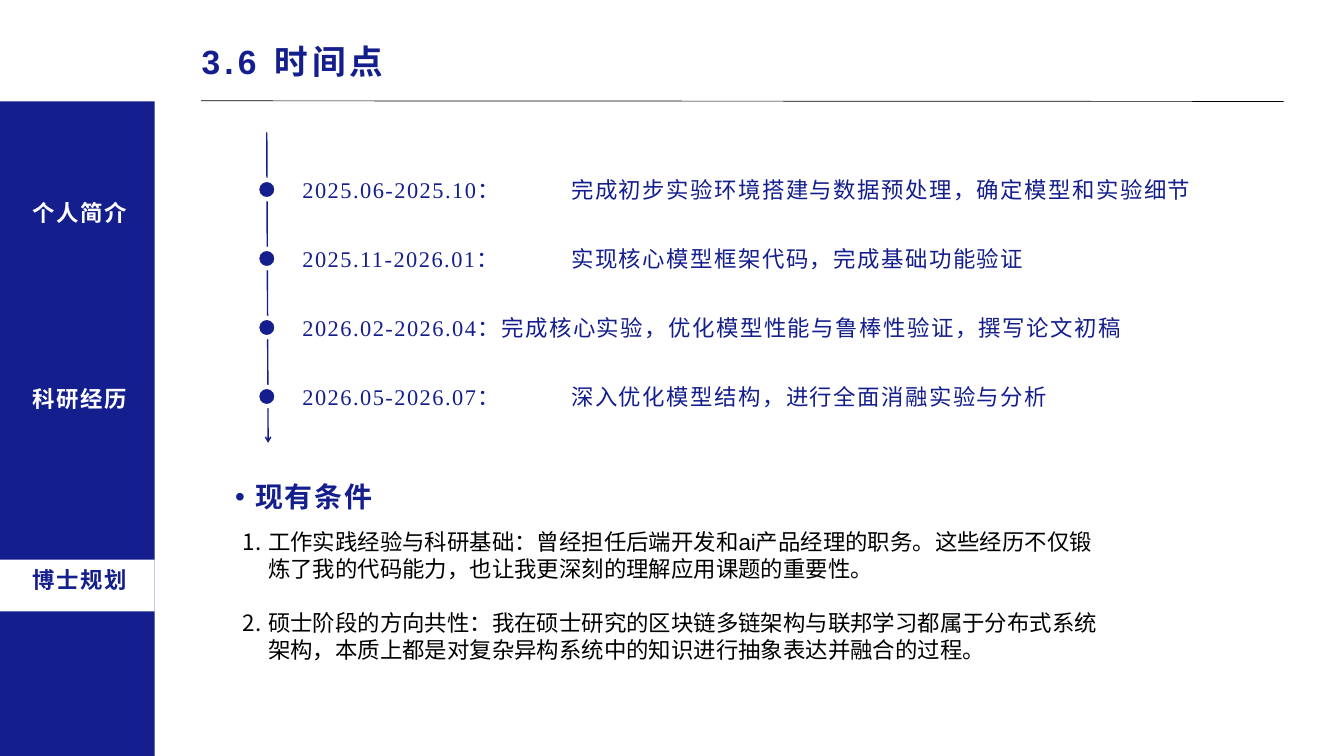
from pptx import Presentation
from pptx.dml.color import RGBColor
from pptx.enum.shapes import MSO_CONNECTOR as Connector, MSO_SHAPE as Shape
from pptx.enum.text import MSO_ANCHOR as Anchor, MSO_AUTO_SIZE as AutoSize, PP_ALIGN as Align
from pptx.oxml.ns import qn
from pptx.util import Inches, Pt
from lxml.etree import SubElement

COLORS = {"navy": "141E8C", "white": "FFFFFF", "black": "000000"}

# Content
TITLE = "3.6 时间点"
MILESTONES = [
    "2025.06-2025.10：\t完成初步实验环境搭建与数据预处理，确定模型和实验细节",
    "2025.11-2026.01：\t实现核心模型框架代码，完成基础功能验证",
    "2026.02-2026.04：完成核心实验，优化模型性能与鲁棒性验证，撰写论文初稿",
    "2026.05-2026.07：\t深入优化模型结构，进行全面消融实验与分析",
]
CONDITIONS_HEADING = "现有条件"
CONDITIONS = [
    "工作实践经验与科研基础：曾经担任后端开发和ai产品经理的职务。这些经历不仅锻炼了我的代码能力，也让我更深刻的理解应用课题的重要性。",
    "硕士阶段的方向共性：我在硕士研究的区块链多链架构与联邦学习都属于分布式系统架构，本质上都是对复杂异构系统中的知识进行抽象表达并融合的过程。",
]
SECTIONS = [  # label, top, colour
    ("个人简介", 2.93, "white"),
    ("科研经历", 5.69, "white"),
    ("博士规划", 8.38, "navy"),
]

# Layout in inches
SIDEBAR_W, SIDEBAR_TOP = 2.3, 1.51
DOT, AXIS_X, FIRST_Y, LAST_Y = 0.29, 3.97, 2.82, 5.9


def rgb(name):
    return RGBColor.from_string(COLORS[name])


def box(*inches):
    return [Inches(value) for value in inches]


def place(holder, *inches):
    holder.left, holder.top, holder.width, holder.height = box(*inches)
    holder.text_frame.auto_size = AutoSize.NONE
    holder.text_frame.vertical_anchor = Anchor.TOP
    return holder.text_frame


def no_insets(frame):
    frame.word_wrap = True
    frame.margin_left = frame.margin_right = frame.margin_top = frame.margin_bottom = 0
    return frame


def text_box(slide, *inches):
    return no_insets(slide.shapes.add_textbox(*box(*inches)).text_frame)


def write(para, text, size, color, font="Arial", bold=False, spacing=0, line=None, align=Align.LEFT):
    para.alignment = align
    para.space_before = Pt(0)
    if line:
        para.line_spacing = Pt(line)
    run = para.add_run()
    run.text = text
    run.font.size, run.font.name, run.font.bold = Pt(size), font, bold
    run.font.color.rgb = rgb(color)
    if spacing:
        run.font._element.set("spc", str(round(spacing * 100)))


def add_bullet(para, margin, hanging, tag, **attributes):
    props = para._p.get_or_add_pPr()
    props.set("marL", str(Inches(margin)))
    props.set("indent", str(-Inches(hanging)))
    SubElement(props, qn("a:buFont"), typeface="Arial")
    SubElement(props, qn(tag), **attributes)


def add_line(slide, start, end, color, width, arrow=False):
    line = slide.shapes.add_connector(Connector.STRAIGHT, *box(*start, *end))
    line.line.color.rgb, line.line.width = rgb(color), Pt(width)
    if arrow:
        SubElement(line.line._get_or_add_ln(), qn("a:tailEnd"), type="arrow")
    SubElement(line._element.spPr, qn("a:effectLst"))


def add_block(slide, kind, inches, fill, outline=None, width=0):
    block = slide.shapes.add_shape(kind, *box(*inches))
    block.shadow.inherit = False
    block.fill.solid()
    block.fill.fore_color.rgb = rgb(fill)
    if outline:
        block.line.color.rgb, block.line.width = rgb(outline), Pt(width)
    else:
        block.line.fill.background()


def add_header(slide):
    frame = no_insets(place(slide.shapes.title, 3, 0.61, 17, 0.78))
    write(frame.paragraphs[0], TITLE, 36, "navy", bold=True, spacing=4.5, line=43.2)
    add_line(slide, (2.99, 1.5), (19.1, 1.51), "black", 0.75)


def add_timeline(slide):
    add_line(slide, (AXIS_X, 1.97), (AXIS_X + 0.02, 6.59), "navy", 1.5, arrow=True)
    pitch = (LAST_Y - FIRST_Y) / (len(MILESTONES) - 1)
    for index, milestone in enumerate(MILESTONES):
        center = FIRST_Y + index * pitch
        dot = (AXIS_X - DOT / 2, center - DOT / 2, DOT, DOT)
        add_block(slide, Shape.OVAL, dot, "navy", outline="white", width=4.5)
        para = text_box(slide, 4.5, center - 0.2, 13.33, 0.59).paragraphs[0]
        tabs = SubElement(para._p.get_or_add_pPr(), qn("a:tabLst"))
        SubElement(tabs, qn("a:tab"), pos=str(Inches(4)), algn="l")
        write(para, milestone, 24, "navy", "Times New Roman", spacing=1.6, line=28.8)


def add_conditions(slide):
    heading = text_box(slide, 3.21, 7.04, 3.14, 0.6).paragraphs[0]
    add_bullet(heading, 0.59, 0.3, "a:buChar", char="•")
    write(heading, CONDITIONS_HEADING, 30, "navy", bold=True, spacing=1.8, line=43.2)

    frame = place(slide.placeholders[1], 3.51, 7.81, 12.97, 2.09)
    for index, condition in enumerate(CONDITIONS):
        para = frame.add_paragraph() if index else frame.paragraphs[0]
        add_bullet(para, 0.38, 0.38, "a:buAutoNum", type="arabicPeriod")
        write(para, condition, 24, "black")
        if index:
            para.space_before = Pt(29)


def add_sidebar(slide, height):
    add_block(slide, Shape.RECTANGLE, (0, SIDEBAR_TOP, SIDEBAR_W, height - SIDEBAR_TOP), "navy")
    add_block(slide, Shape.RECTANGLE, (0, 8.33, SIDEBAR_W, 0.77), "white")  # current section
    for label, top, color in SECTIONS:
        para = text_box(slide, 0.29, top, 1.79, 0.62).paragraphs[0]
        write(para, label, 24, color, bold=True, spacing=1.6, line=31.7, align=Align.CENTER)


def main():
    deck = Presentation()
    deck.slide_width, deck.slide_height = Inches(20), Inches(11.25)
    slide = deck.slides.add_slide(deck.slide_layouts[1])
    add_header(slide)
    add_timeline(slide)
    add_conditions(slide)
    add_sidebar(slide, 11.25)
    deck.save("out.pptx")


if __name__ == "__main__":
    main()
